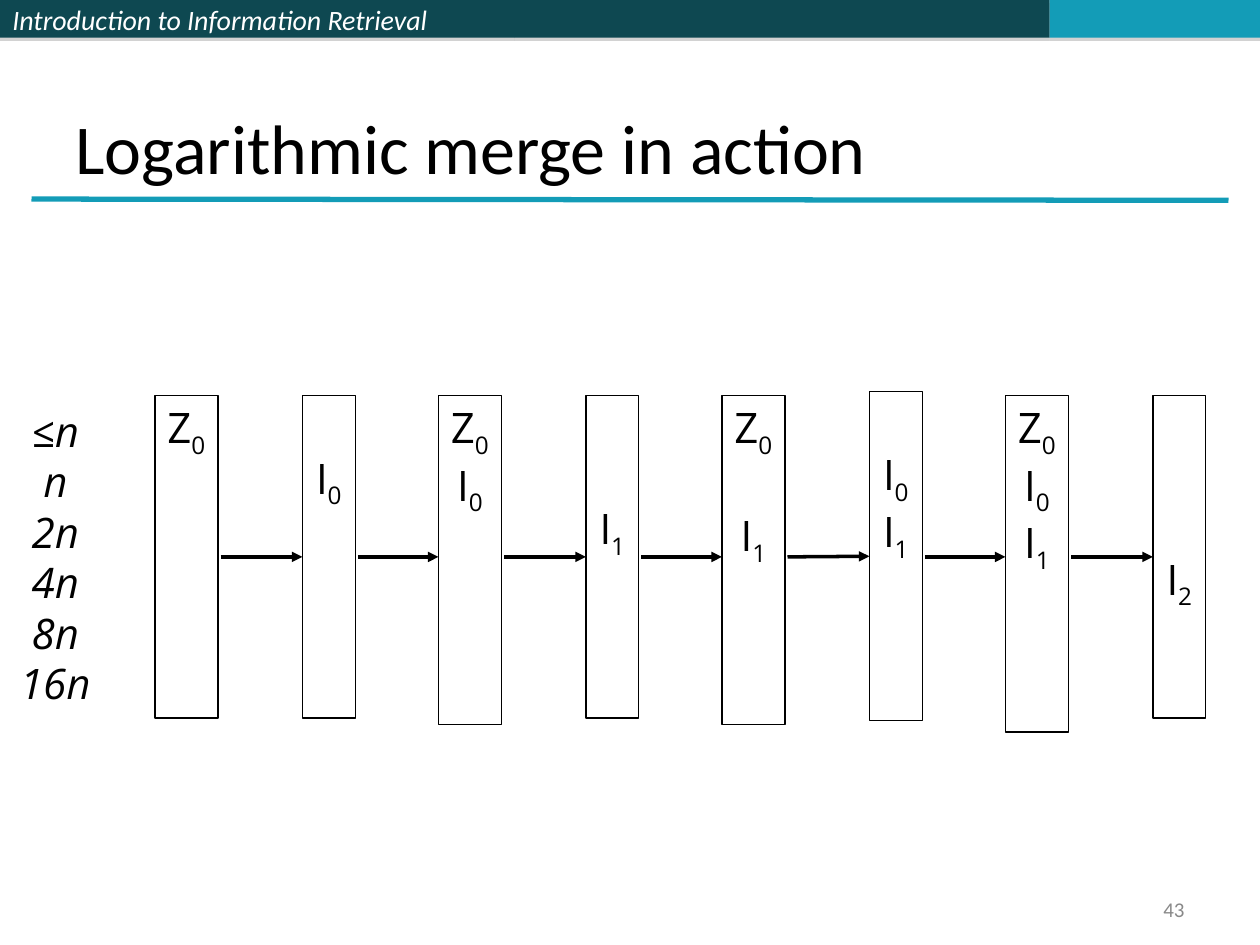
from dataclasses import dataclass

from lxml import etree
from pptx import Presentation
from pptx import util as u
from pptx.dml.color import RGBColor
from pptx.enum import shapes, text
from pptx.oxml import parse_xml
from pptx.oxml.ns import nsdecls, qn


@dataclass(frozen=True)
class Theme:
    dark: str = "0E4851"
    teal: str = "139CB7"
    ink: str = "000000"
    white: str = "FFFFFF"
    grey: str = "898989"
    head: str = "Calibri"
    body: str = "Open Sans"
    title: int = 40
    cell: int = 24
    bar: int = 16
    page: int = 12


T = Theme()
LEFT, PAIR = (1.23, 2.4), 2.25    # lefts of the first two boxes, step per pair
WIDE = (0.5, 0.42)
TOP, ROW, FLOW, GAP = 3.14, 0.4, 4.42, 0.02

# each step: top, height, {row: index held there}
STEPS = [
    (TOP, 2.56, {0: "Z0"}),
    (TOP, 2.56, {1: "I0"}),
    (TOP, 2.61, {0: "Z0", 1: "I0"}),
    (TOP, 2.56, {2: "I1"}),
    (TOP, 2.61, {0: "Z0", 2: "I1"}),
    (3.11, 2.61, {1: "I0", 2: "I1"}),
    (TOP, 2.67, {0: "Z0", 1: "I0", 2: "I1"}),
    (TOP, 2.56, {3: "I2"}),
]
SIZES = ["≤n", "n", "2n", "4n", "8n", "16n"]
SHADOW = (
    f'<a:effectLst {nsdecls("a")}><a:outerShdw dist="22860" dir="5400000">'
    '<a:srgbClr val="808080"><a:alpha val="35000"/></a:srgbClr>'
    '</a:outerShdw></a:effectLst>'
)


def style(obj, **vals):
    for key, val in vals.items():
        setattr(obj, key, val)


def rgb(code):
    return RGBColor.from_string(code)


def write(par, words, size, face, color, align=text.PP_ALIGN.LEFT, **vals):
    par.alignment = align
    run = par.add_run()
    run.text = words
    style(run.font, size=u.Pt(size), name=face, **vals)
    run.font.color.rgb = rgb(color)
    return run


def frame(shape, anchor, wrap=True):
    style(shape.text_frame, vertical_anchor=anchor, word_wrap=wrap,
          auto_size=text.MSO_AUTO_SIZE.NONE)
    return shape.text_frame


def rect(slide, *place):
    box = slide.shapes.add_shape(shapes.MSO_SHAPE.RECTANGLE,
                                 *map(u.Inches, place))
    box.shadow.inherit = False
    return box


def band(slide, left, width, color):
    box = rect(slide, left, 0, width, 0.3)
    box.fill.solid()
    box.fill.fore_color.rgb = rgb(color)
    box.line.fill.background()
    props = box._element.spPr
    props.replace(props.find(qn("a:effectLst")), parse_xml(SHADOW))
    return box


def line(slide, start, end, color, width):
    link = slide.shapes.add_connector(shapes.MSO_CONNECTOR.STRAIGHT,
                                      *map(u.Inches, start + end))
    link.line.color.rgb = rgb(color)
    link.line.width = u.Pt(width)
    etree.SubElement(link._element.spPr, qn("a:effectLst"))
    return link


def label(slide, place, anchor, wrap=True):
    box = slide.shapes.add_textbox(*map(u.Inches, place))
    return frame(box, anchor, wrap)


def step(slide, num, top, high, held):
    """Draw one state; empty rows become inset or paragraph spacing."""
    pair, side = divmod(num, 2)
    box = rect(slide, LEFT[side] + pair * PAIR, top, WIDE[side], high)
    box.fill.background()
    box.line.color.rgb = rgb(T.ink)
    box.line.width = u.Pt(0.75)
    body = frame(box, text.MSO_ANCHOR.TOP, False)
    last = min(held) - 1
    body.margin_top = u.Inches(0.05 + min(held) * ROW)
    for row, (name, sub) in held.items():
        fresh = row == min(held)
        par = body.paragraphs[0] if fresh else body.add_paragraph()
        par.space_before = u.Inches((row - last - 1) * ROW)
        look = (T.cell, T.body, T.ink, text.PP_ALIGN.CENTER)
        write(par, name, *look)
        run = write(par, sub, *look)
        run._r.get_or_add_rPr().set("baseline", "-25000")
        last = row
    return box


def arrow(slide, src, dst):
    """Point from src to dst, joined where dst's middle is on the flow line."""
    start = (src.left + src.width) / u.Inches(1) + GAP
    link = line(slide, (start, FLOW), (dst.left / u.Inches(1), FLOW), T.ink, 2)
    if abs(dst.top + dst.height / 2 - u.Inches(FLOW)) < u.Inches(0.01):
        link.end_connect(dst, 1)
    etree.SubElement(link.line._get_or_add_ln(), qn("a:tailEnd"),
                     type="triangle")


def header(slide):
    bar = band(slide, 0, 4.08, T.dark)
    body = frame(bar, text.MSO_ANCHOR.MIDDLE)
    write(body.paragraphs[0], "Introduction to Information Retrieval",
          T.bar, T.head, T.white, italic=True)
    band(slide, 4.08, 4.25, T.dark)
    band(slide, 8.33, 1.67, T.teal)
    line(slide, (0.25, 1.58), (9.75, 1.59), T.teal, 3)


def title(slide, words):
    box = slide.shapes.title
    style(box, left=u.Inches(0.5), top=u.Inches(0.3),
          width=u.Inches(9), height=u.Inches(1.25))
    body = frame(box, text.MSO_ANCHOR.BOTTOM)
    write(body.paragraphs[0], words, T.title, T.head, T.ink)


def scale(slide):
    body = label(slide, (0.06, 3.17, 0.76, 2.5), text.MSO_ANCHOR.TOP, False)
    for num, size in enumerate(SIZES):
        par = body.add_paragraph() if num else body.paragraphs[0]
        write(par, size, T.cell, T.body, T.ink,
              text.PP_ALIGN.CENTER, italic=True)


def main():
    deck = Presentation()
    style(deck, slide_width=u.Inches(10), slide_height=u.Inches(7.5))
    slide = deck.slides.add_slide(deck.slide_layouts[5])
    header(slide)
    title(slide, "Logarithmic merge in action")
    page = label(slide, (7.17, 7.08, 2.33, 0.27), text.MSO_ANCHOR.MIDDLE)
    write(page.paragraphs[0], "43", T.page, T.head, T.grey,
          text.PP_ALIGN.RIGHT)
    boxes = [step(slide, num, *state) for num, state in enumerate(STEPS)]
    scale(slide)
    for src, dst in zip(boxes, boxes[1:]):
        arrow(slide, src, dst)
    deck.save("out.pptx")


if __name__ == "__main__":
    main()
